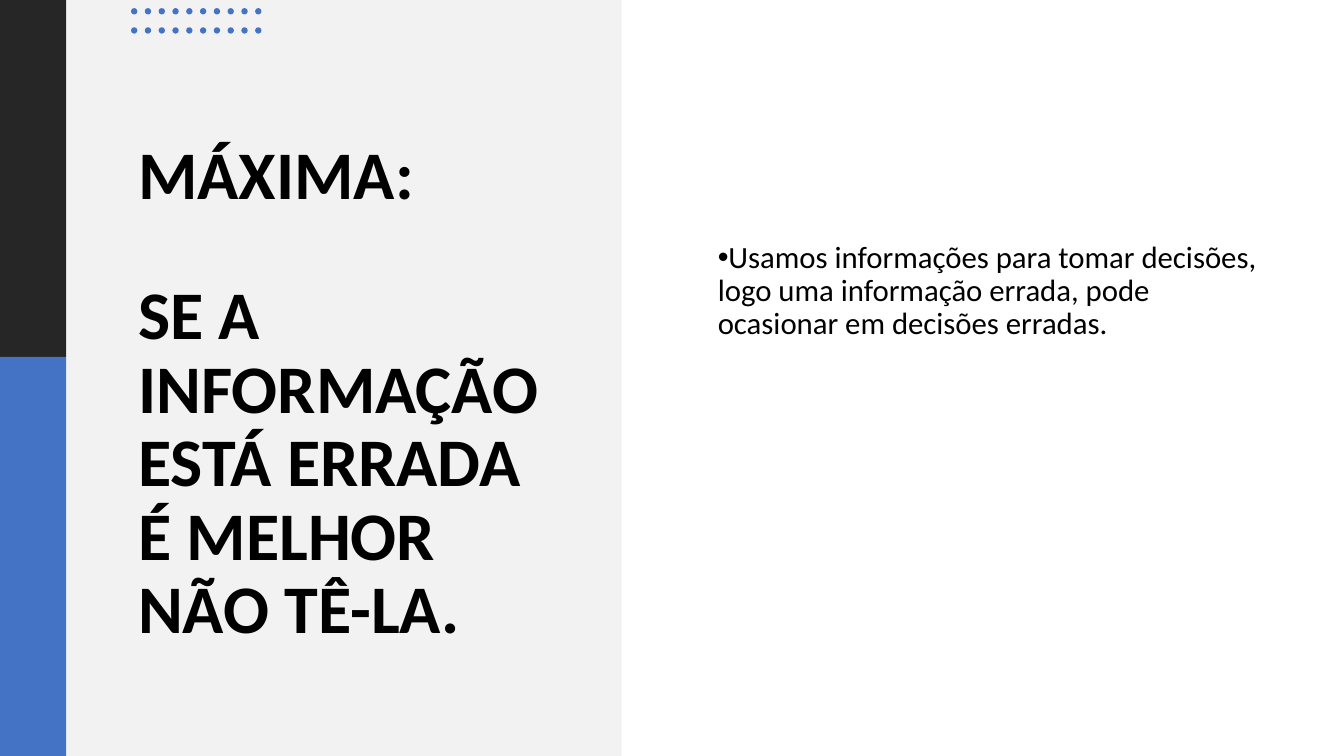
"""Build a slide with a maxim on a side panel and its explanation."""
from itertools import product

from lxml.etree import SubElement
from pptx import Presentation
from pptx.dml.color import RGBColor as RGB
from pptx.enum.shapes import MSO_SHAPE as SHAPE
from pptx.enum.text import MSO_ANCHOR as ANCHOR, MSO_AUTO_SIZE as FIT, PP_ALIGN as ALIGN
from pptx.oxml.ns import qn
from pptx.util import Pt

INK = {"dark": "262626", "blue": "4472C4", "panel": "F2F2F2", "text": "000000"}
WIDE, HIGH = 960, 540
BAR, SPLIT, PANEL = 47.5, 255, 396.5
DOT, COL_GAP, ROW_GAP = 4.5, 9.85, 13.7


def add_form(shapes, kind, box, color):
    """Add a plain filled shape."""
    form = shapes.add_shape(kind, *map(Pt, box))
    form.shadow.inherit = False
    form.fill.solid()
    form.fill.fore_color.rgb = RGB.from_string(INK[color])
    form.line.fill.background()


def add_dots(slide, left, top, cols, rows):
    """Add a grouped grid of dots."""
    group = slide.shapes.add_group_shape()
    for col, row in product(range(cols), range(rows)):
        box = (left + col * COL_GAP, top + row * ROW_GAP, DOT, DOT)
        add_form(group.shapes, SHAPE.OVAL, box, "blue")


def set_text(holder, text, box, size, bold=False, before=0, foot=3.6):
    """Place a placeholder, fill it and return its paragraph."""
    holder.left, holder.top, holder.width, holder.height = map(Pt, box)
    frame = holder.text_frame
    frame.text = text
    frame.word_wrap = True
    frame.auto_size = FIT.NONE
    frame.vertical_anchor = ANCHOR.MIDDLE
    frame.margin_bottom = Pt(foot)
    para = frame.paragraphs[0]
    para.alignment = ALIGN.LEFT
    para.line_spacing = 0.9
    para.space_before = Pt(before)
    for run in para.runs:
        font = run.font
        font.name, font.size, font.bold = "Calibri", Pt(size), bold
        font.color.rgb = RGB.from_string(INK["text"])
    return para


def add_bullet(para):
    """Give a paragraph a round bullet."""
    props = para._p.get_or_add_pPr()
    props.set("marL", "0")
    props.set("indent", str(-Pt(18)))
    SubElement(props, qn("a:buFont")).set("typeface", "Arial")
    SubElement(props, qn("a:buChar")).set("char", "•")


def main():
    """Build and save the slide."""
    deck = Presentation()
    deck.slide_width, deck.slide_height = Pt(WIDE), Pt(HIGH)
    slide = deck.slides.add_slide(deck.slide_layouts[0])
    title, body = slide.placeholders

    for box, color in (
        ((0, 0, BAR, SPLIT), "dark"),
        ((0, SPLIT, BAR, HIGH - SPLIT), "blue"),
        ((BAR, 0, PANEL, HIGH), "panel"),
    ):
        add_form(slide.shapes, SHAPE.RECTANGLE, box, color)
    add_dots(slide, 93.6, 5.8, 10, 2)

    set_text(title, "MÁXIMA: \v\vSE A INFORMAÇÃO ESTÁ ERRADA É MELHOR NÃO TÊ-LA.",
             (91.5, 127.5, 309, 309), 48.6, bold=True)
    para = set_text(body, "Usamos informações para tomar decisões, logo uma "
                    "informação errada, pode ocasionar em decisões erradas.",
                    (505.5, 39.6, 401.8, 439.2), 22, before=10, foot=105.6)
    add_bullet(para)
    for holder in (title, body):
        slide.shapes._spTree.append(holder._element)
    deck.save("out.pptx")


if __name__ == "__main__":
    main()
